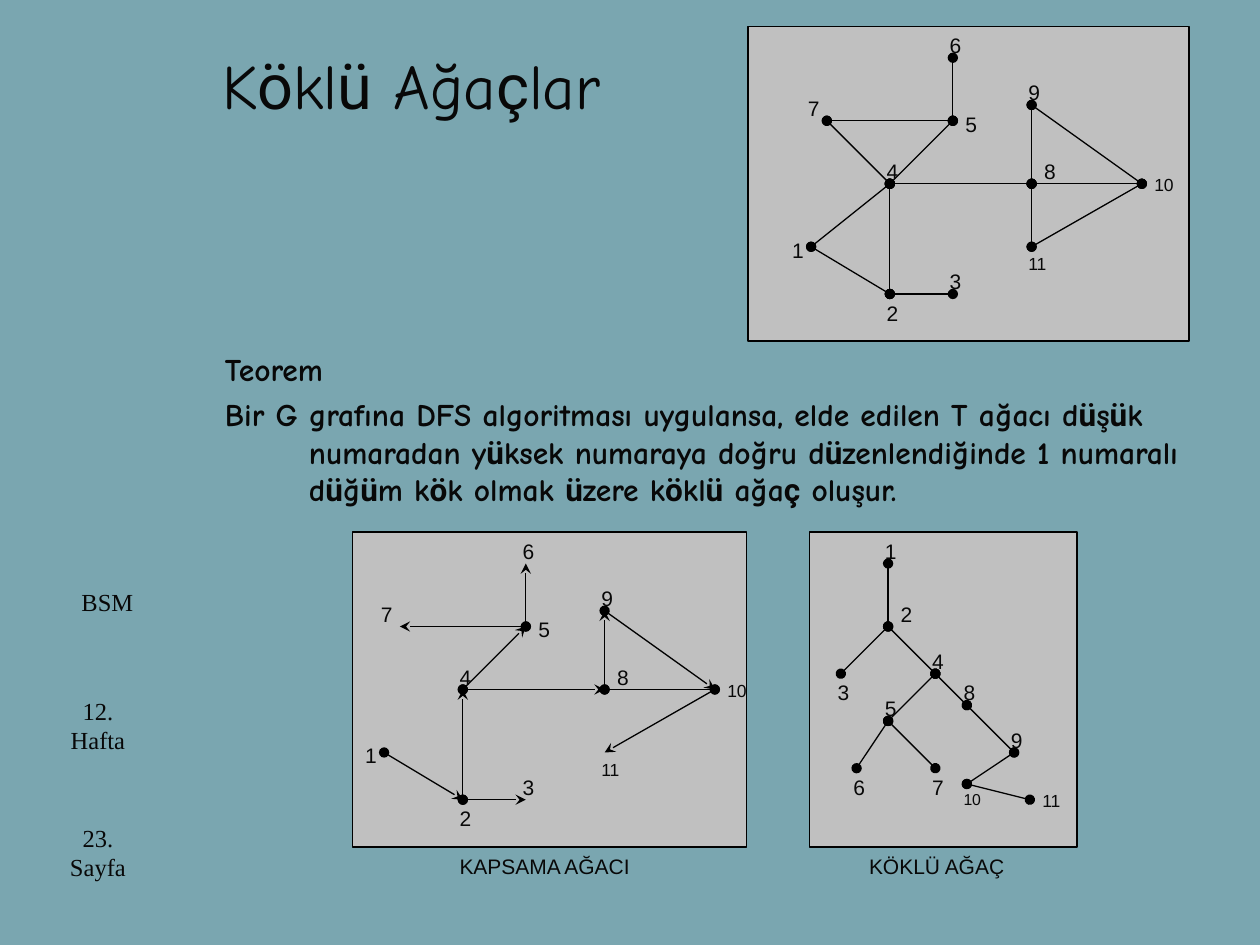
"""Build the rooted trees slide: a graph, its spanning tree and the rooted tree."""
from itertools import groupby

from lxml import etree
from pptx import Presentation
from pptx.dml.color import RGBColor
from pptx.enum.shapes import MSO_CONNECTOR, MSO_SHAPE
from pptx.enum.text import MSO_ANCHOR, PP_ALIGN
from pptx.oxml.ns import qn
from pptx.util import Pt

LINE, RECT = MSO_CONNECTOR.STRAIGHT, MSO_SHAPE.RECTANGLE
TOP, MID = MSO_ANCHOR.TOP, MSO_ANCHOR.MIDDLE
LEFT, MIDST = PP_ALIGN.LEFT, PP_ALIGN.CENTER

HUE = {"back": "7AA6B0", "panel": "C0C0C0", "line": "000000", "text": "080808"}
COMIC, ROBOTO, ARIAL, TIMES = "Comic Neue", "Roboto", "Arial", "Times New Roman"
ODD = "öüç"
UNIT = 9

TITLE = "Köklü Ağaçlar"
BODY = [
    "Teorem",
    "Bir G grafına DFS algoritması uygulansa, elde edilen T ağacı düşük "
    "numaradan yüksek numaraya doğru düzenlendiğinde 1 numaralı düğüm kök "
    "olmak üzere köklü ağaç oluşur.",
]
SIDE = [
    ("BSM", (39.5, 332, 45, 24), LEFT, False),
    ("12. Hafta", (28, 394, 56, 50), MIDST, True),
    ("23. Sayfa", (28, 466.5, 56, 45), MIDST, True),
]

# node: column, row, label shift right, label shift down, text size
GRAPH = {
    1: (4, 14, -2, -1, 12), 2: (9, 17, -1, 0, 12), 3: (13, 17, -1, -2, 12),
    4: (9, 10, -1, -2, 12), 5: (13, 6, 0, -1, 12), 6: (13, 2, -1, -2, 12),
    7: (5, 6, -2, -2, 12), 8: (18, 10, 0, -2, 12), 9: (18, 5, -1, -2, 12),
    10: (25, 10, 0, -1, 10), 11: (18, 14, -1, 0, 10),
}
SPAN = {key: (col - 2, *rest) for key, (col, *rest) in GRAPH.items()}
TREE = {
    1: (5, 2, -1, -2, 12), 2: (5, 6, 0, -2, 12), 3: (2, 9, -1, 0, 12),
    4: (8, 9, -1, -2, 12), 5: (5, 12, -1, -2, 12), 6: (3, 15, -1, 0, 12),
    7: (8, 15, -1, 0, 12), 8: (10, 11, -1, -2, 12), 9: (13, 14, -1, -2, 12),
    10: (10, 16, -1, 0, 9), 11: (14, 17, 0, -1, 10),
}
WALK = [(5, 6), (5, 7), (4, 5), (2, 4), (1, 2), (2, 3), (4, 8), (8, 9),
        (9, 10), (10, 11)]
LOOPS = [(4, 7), (1, 4), (8, 10), (8, 11)]
ROOTED = [(1, 2), (2, 3), (2, 4), (4, 8), (8, 9), (9, 10), (10, 11), (4, 5),
          (5, 6), (5, 7)]

PANELS = [
    {"at": (427.5, 15), "cols": 28, "nodes": GRAPH, "dots": WALK + LOOPS,
     "arrows": [], "name": "", "shift": 0},
    {"at": (201.5, 304), "cols": 25, "nodes": SPAN, "dots": [(10, 8)],
     "arrows": WALK, "name": "KAPSAMA AĞACI", "shift": 6},
    {"at": (462.5, 304), "cols": 17, "nodes": TREE, "dots": ROOTED,
     "arrows": [], "name": "KÖKLÜ AĞAÇ", "shift": 3},
]
ROWS = 20


def put(obj, form):
    for key, val in form.items():
        setattr(obj, key, val)


def tint(fill, hue):
    fill.solid()
    fill.fore_color.rgb = RGBColor.from_string(HUE[hue])


def write(para, text, face, size, bold=False):
    for odd, part in groupby(text, lambda c: face == COMIC and c in ODD):
        run = para.add_run()
        run.text = "".join(part)
        put(run.font, {"name": ROBOTO if odd else face, "size": Pt(size),
                       "bold": bold})
        tint(run.font.fill, "text")


def add_text(slide, box, texts, face, size, bold=False, form=None, wrap=True,
             anchor=TOP):
    frame = slide.shapes.add_textbox(*map(Pt, box)).text_frame
    put(frame, {"word_wrap": wrap, "vertical_anchor": anchor})
    for num, text in enumerate(texts):
        para = frame.add_paragraph() if num else frame.paragraphs[0]
        put(para, form or {})
        if num:
            para.space_before = Pt(4)
        write(para, text, face, size, bold)
    return frame


def add_edge(slide, start, stop, tip):
    edge = slide.shapes.add_connector(LINE, *map(Pt, start + stop))
    edge.line.width = Pt(0.75)
    tint(edge.line.fill, "line")
    pen = edge.line._get_or_add_ln()
    for tag, kind in (("a:headEnd", "oval"), ("a:tailEnd", tip)):
        etree.SubElement(pen, qn(tag)).set("type", kind)
    etree.SubElement(edge._element.spPr, qn("a:effectLst"))


def add_panel(slide, at, cols, nodes, dots, arrows, name, shift):
    def spot(col, row):
        return at[0] + col * UNIT, at[1] + row * UNIT

    size = (cols * UNIT, ROWS * UNIT)
    rect = slide.shapes.add_shape(RECT, *map(Pt, at + size))
    rect.shadow.inherit = False
    rect.line.width = Pt(0.75)
    tint(rect.fill, "panel")
    tint(rect.line.fill, "line")
    for pairs, tip in ((dots, "oval"), (arrows, "stealth")):
        for one, two in pairs:
            add_edge(slide, spot(*nodes[one][:2]), spot(*nodes[two][:2]), tip)
    for key, (col, row, right, down, pts) in nodes.items():
        box = spot(col + right, row + down) + (3 * UNIT, 3 * UNIT)
        add_text(slide, box, [str(key)], ARIAL, pts)
    if name:
        box = spot(shift, ROWS) + (14 * UNIT, 3 * UNIT)
        add_text(slide, box, [name], ARIAL, 12)


def main():
    deck = Presentation()
    put(deck, {"slide_width": Pt(720), "slide_height": Pt(540)})
    slide = deck.slides.add_slide(deck.slide_layouts[6])
    tint(slide.background.fill, "back")
    add_text(slide, (120, 6, 581, 84), [TITLE], COMIC, 36, anchor=MID)
    frame = add_text(slide, (121.5, 196.5, 582, 291.5), BODY, COMIC, 18, True)
    for para in frame.paragraphs:
        put_in = para._p.get_or_add_pPr()
        for key, val in {"marL": Pt(48), "indent": Pt(-48)}.items():
            put_in.set(key, str(int(val)))
    for panel in PANELS:
        add_panel(slide, **panel)
    for text, box, align, wrap in SIDE:
        add_text(slide, box, [text], TIMES, 14, form={"alignment": align},
                 wrap=wrap)
    deck.save("out.pptx")


if __name__ == "__main__":
    main()
